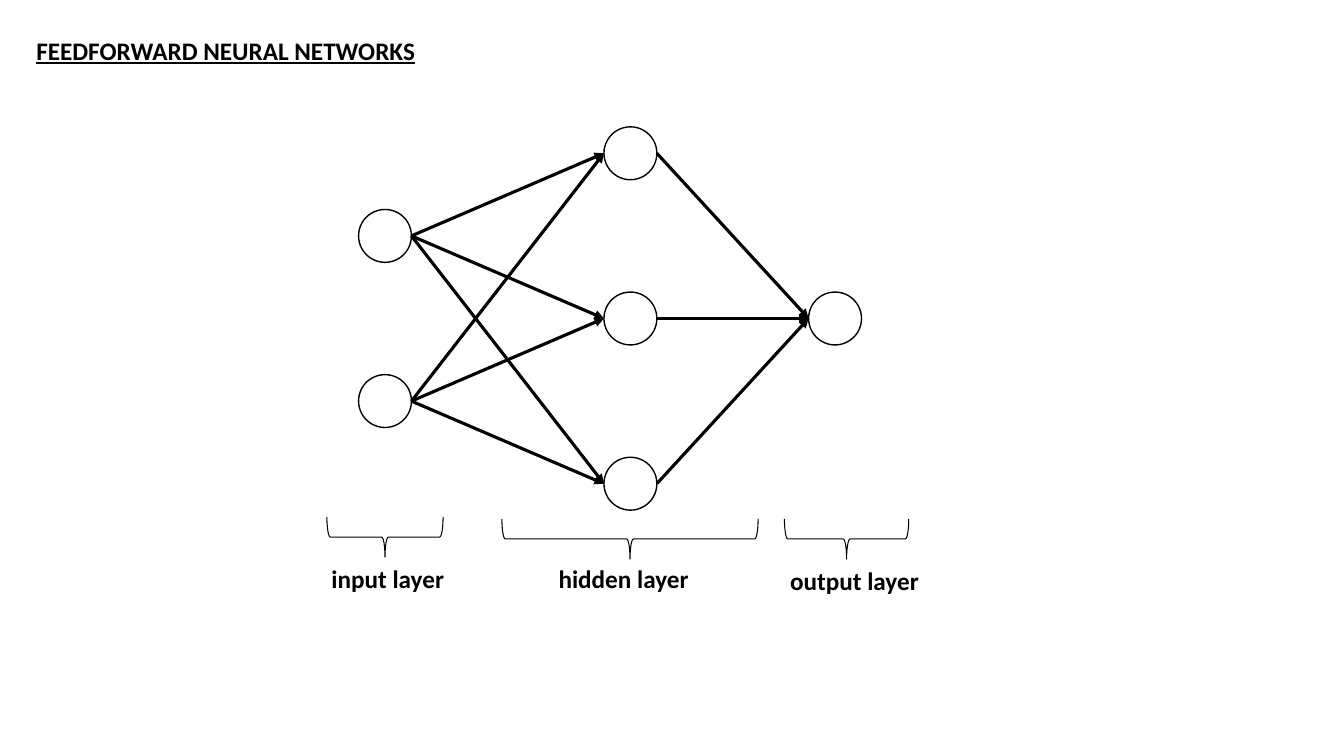
"""Build a slide showing a feedforward neural network and its three layers."""
from itertools import product
from pptx import Presentation
from pptx.dml.color import RGBColor
from pptx.enum.shapes import MSO_CONNECTOR, MSO_SHAPE
from pptx.enum.text import MSO_ANCHOR, MSO_AUTO_SIZE, PP_ALIGN
from pptx.oxml.ns import qn
from pptx.util import Pt
from lxml import etree

OVAL, BRACE = MSO_SHAPE.OVAL, MSO_SHAPE.RIGHT_BRACE
LINE = MSO_CONNECTOR.STRAIGHT
TOP, LEFT, GROW = MSO_ANCHOR.TOP, PP_ALIGN.LEFT, MSO_AUTO_SIZE.SHAPE_TO_FIT_TEXT
BLACK, WHITE = "000000", "FFFFFF"
SIZE, GAP, MID = 37.8, 118, 227.5
DEPTH = 28.8
FONT = {"name": "Calibri", "size": Pt(18), "bold": True}


def paint(color, tone):
    color.rgb = RGBColor.from_string(tone)


def write(box, text, wrap, style):
    frame = box.text_frame
    frame.text = text
    for key, val in {"word_wrap": wrap, "auto_size": GROW, "vertical_anchor": TOP}.items():
        setattr(frame, key, val)
    para = frame.paragraphs[0]
    para.alignment = LEFT
    font = para.runs[0].font
    for key, val in style.items():
        setattr(font, key, val)
    paint(font.color, BLACK)


deck = Presentation()
deck.slide_width, deck.slide_height = Pt(960), Pt(540)
slide = deck.slides.add_slide(deck.slide_layouts[5])
shapes = slide.shapes

title = shapes.title
place = {"left": 18.7, "top": 21.6, "width": 288, "height": 29}
for key, val in place.items():
    setattr(title, key, Pt(val))
write(title, "FEEDFORWARD NEURAL NETWORKS", False, FONT | {"underline": True})

layers = []
for left, count in [(256.1, 2), (431.4, 3), (577.6, 1)]:
    rows = [MID + GAP * (row - (count - 1) / 2) for row in range(count)]
    layers.append((left, rows))
    for mid in rows:
        node = shapes.add_shape(OVAL, Pt(left), Pt(mid - SIZE / 2), Pt(SIZE), Pt(SIZE))
        node.shadow.inherit = False
        node.fill.solid()
        paint(node.fill.fore_color, WHITE)
        paint(node.line.color, BLACK)
        node.line.width = Pt(1)

for (start, tails), (end, heads) in zip(layers, layers[1:]):
    for tail, head in product(tails, heads):
        edge = shapes.add_connector(LINE, Pt(start + SIZE), Pt(tail), Pt(end), Pt(head))
        paint(edge.line.color, BLACK)
        edge.line.width = Pt(2.25)
        props = edge._element.spPr
        etree.SubElement(props.find(qn("a:ln")), qn("a:tailEnd"), type="triangle")
        etree.SubElement(props, qn("a:effectLst"))

labels = [
    ("input layer", 275, 383.6, 83, 229.7, 399, 118),
    ("hidden layer", 450, 385, 183, 391.9, 399, 137),
    ("output layer", 604.7, 385, 88.8, 557.3, 400.1, 140),
]
for text, mid, level, span, left, top, width in labels:
    brace = shapes.add_shape(
        BRACE, Pt(mid - DEPTH / 2), Pt(level - span / 2), Pt(DEPTH), Pt(span))
    brace.rotation = 90
    brace.shadow.inherit = False
    brace.fill.background()
    paint(brace.line.color, BLACK)
    brace.line.width = Pt(0.75)
    label = shapes.add_textbox(Pt(left), Pt(top), Pt(width), Pt(29))
    write(label, text, True, FONT)

deck.save("out.pptx")
